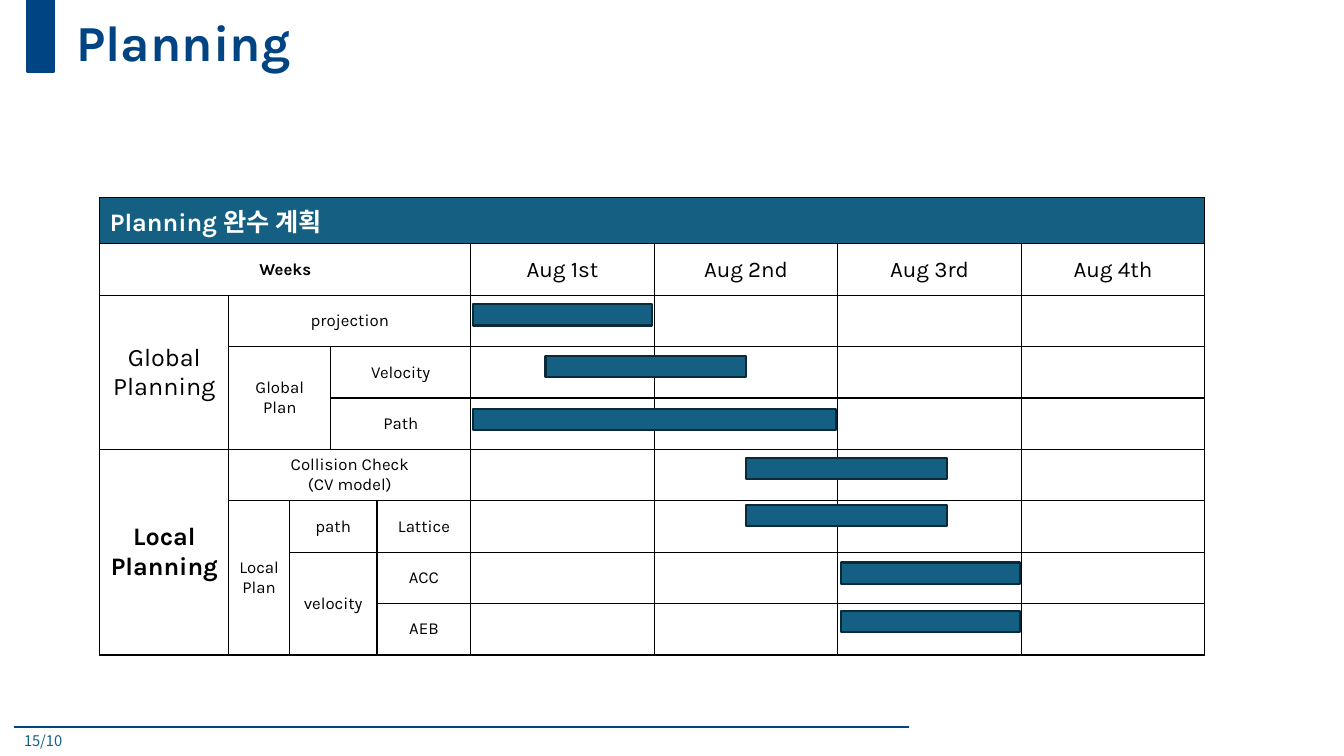
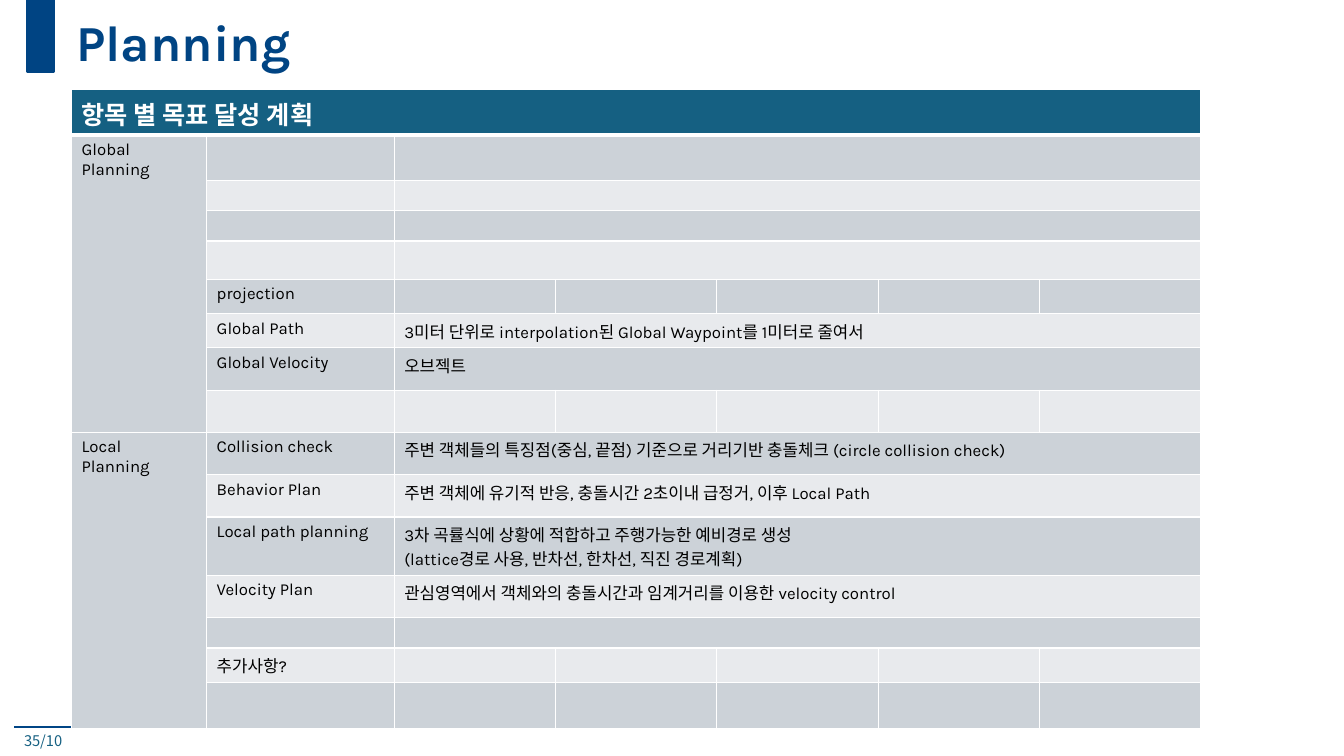
import dataclasses
import typing

import lxml.etree
import pptx
import pptx.dml.color
import pptx.enum.shapes
import pptx.enum.text
import pptx.oxml.ns
import pptx.util

EMU_PER_PX = 9144  # 100 px to the inch
WIDTH, HEIGHT = 1333, 750

NAVY = "004483"
RULE = "004585"
TEAL = "156082"
BAR_EDGE = "092A39"
BLACK = "000000"
WHITE = "FFFFFF"
BAND_DARK = "CCD2D8"
BAND_LIGHT = "E8EAED"

LATIN = "Karla"
KOREAN = "Noto Sans CJK KR"

LEFT = pptx.enum.text.PP_ALIGN.LEFT
CENTER = pptx.enum.text.PP_ALIGN.CENTER
TOP = pptx.enum.text.MSO_ANCHOR.TOP
MIDDLE = pptx.enum.text.MSO_ANCHOR.MIDDLE
qn = pptx.oxml.ns.qn


@dataclasses.dataclass(frozen=True)
class Cell:
    row: int
    col: int
    text: str = ""
    rows: int = 1
    cols: int = 1
    size: int = 12
    bold: bool = False
    color: str = BLACK


@dataclasses.dataclass(frozen=True)
class Bar:
    left: int
    top: int
    width: int


@dataclasses.dataclass(frozen=True)
class Grid:
    left: int
    top: int
    cols: list[int]
    rows: list[int]
    border: str
    header_line: int
    align: typing.Any
    anchor: typing.Any
    fill: typing.Callable[[int, int], str]


def px(n: int) -> pptx.util.Emu:
    return pptx.util.Emu(n * EMU_PER_PX)


def rgb(color: str) -> pptx.dml.color.RGBColor:
    return pptx.dml.color.RGBColor.from_string(color)


def write_text(tf, text: str, *, size: float = 12, color: str = BLACK,
               bold: bool = False, font: str = LATIN, align=LEFT,
               spacing: float | None = None) -> None:
    """Write one paragraph per line of text."""
    for i, line in enumerate(text.split("\n")):
        p = tf.add_paragraph() if i else tf.paragraphs[0]
        p.alignment = align
        p.line_spacing = spacing
        r = p.add_run()
        r.text = line
        r.font.size = pptx.util.Pt(size)
        r.font.bold = bold
        r.font.name = font
        r.font.color.rgb = rgb(color)
        ea = lxml.etree.SubElement(r.font._element, qn("a:ea"))
        ea.set("typeface", KOREAN)


def add_text(slide, left: int, top: int, width: int, height: int, text: str,
             anchor=TOP, **fmt) -> None:
    tf = slide.shapes.add_textbox(px(left), px(top), px(width), px(height)).text_frame
    tf.word_wrap = True
    tf.vertical_anchor = anchor
    write_text(tf, text, **fmt)


def add_rect(slide, left: int, top: int, width: int, height: int,
             fill: str, line: str) -> None:
    sp = slide.shapes.add_shape(pptx.enum.shapes.MSO_SHAPE.RECTANGLE,
                                px(left), px(top), px(width), px(height))
    sp.shadow.inherit = False
    sp.fill.solid()
    sp.fill.fore_color.rgb = rgb(fill)
    sp.line.color.rgb = rgb(line)
    sp.line.width = pptx.util.Pt(1.5)


def add_rule(slide, left: int, right: int, y: int) -> None:
    ln = slide.shapes.add_connector(pptx.enum.shapes.MSO_CONNECTOR.STRAIGHT,
                                    px(left), px(y), px(right), px(y))
    ln.line.color.rgb = rgb(RULE)
    ln.line.width = pptx.util.Pt(1.5)
    lxml.etree.SubElement(ln._element.spPr, qn("a:effectLst"))


def set_borders(cell, color: str, top: int, bottom: int) -> None:
    """Draw all four borders; must run before the cell gets its fill."""
    tc_pr = cell._tc.get_or_add_tcPr()
    for side, width in (("L", 1), ("R", 1), ("T", top), ("B", bottom)):
        ln = lxml.etree.SubElement(tc_pr, qn(f"a:ln{side}"))
        ln.set("w", str(pptx.util.Pt(width)))
        fill = lxml.etree.SubElement(ln, qn("a:solidFill"))
        lxml.etree.SubElement(fill, qn("a:srgbClr")).set("val", color)


def set_empty_size(cell, size: int) -> None:
    """Give an empty cell a text size, so that its row stays low."""
    p = cell.text_frame.paragraphs[0]
    end = lxml.etree.SubElement(p._p, qn("a:endParaRPr"))
    end.set("sz", str(size * 100))
    lxml.etree.SubElement(end, qn("a:latin")).set("typeface", LATIN)


def add_grid(slide, grid: Grid, cells: list[Cell]) -> None:
    table = slide.shapes.add_table(
        len(grid.rows), len(grid.cols), px(grid.left), px(grid.top),
        px(sum(grid.cols)), px(sum(grid.rows))).table
    table.first_row = False
    table.horz_banding = False
    for column, width in zip(table.columns, grid.cols):
        column.width = px(width)
    for row, height in zip(table.rows, grid.rows):
        row.height = px(height)

    written = {(c.row, c.col) for c in cells if c.text}
    for i in range(len(grid.rows)):
        for j in range(len(grid.cols)):
            cell = table.cell(i, j)
            set_borders(cell, grid.border,
                        top=grid.header_line if i == 1 else 1,
                        bottom=grid.header_line if i == 0 else 1)
            cell.fill.solid()
            cell.fill.fore_color.rgb = rgb(TEAL if i == 0 else grid.fill(i, j))
            cell.vertical_anchor = grid.anchor
            if (i, j) not in written:
                set_empty_size(cell, 12)

    for c in cells:
        cell = table.cell(c.row, c.col)
        if c.rows > 1 or c.cols > 1:
            cell.merge(table.cell(c.row + c.rows - 1, c.col + c.cols - 1))
        if c.text:
            write_text(cell.text_frame, c.text, size=c.size, color=c.color,
                       bold=c.bold, align=grid.align if c.row else LEFT)


def header(text: str, cols: int) -> Cell:
    return Cell(0, 0, text, cols=cols, size=18, bold=True, color=WHITE)


def add_base(prs, title: str, page: str):
    """Add a slide with the footer, title mark and title."""
    slide = prs.slides.add_slide(prs.slide_layouts[6])
    add_rule(slide, 14, 902, 721)
    add_text(slide, 14, 721, 571, 29, page, size=10.5, color=TEAL, font=KOREAN)
    add_rect(slide, 27, 0, 27, 71, NAVY, NAVY)
    add_text(slide, 66, 0, 1196, 89, title, anchor=MIDDLE, size=36,
             color=NAVY, bold=True, spacing=0.9)
    return slide


def build_schedule(prs) -> None:
    slide = add_base(prs, "Planning", "15/10")
    grid = Grid(99, 196, [128, 60, 41, 46, 93] + [182] * 4, [46] + [51] * 8,
                BLACK, 1, CENTER, MIDDLE, lambda i, j: WHITE)
    weeks = ["Aug 1st", "Aug 2nd", "Aug 3rd", "Aug 4th"]
    add_grid(slide, grid, [
        header("Planning 완수 계획", 9),
        Cell(1, 0, "Weeks", cols=5, bold=True),
        *(Cell(1, 5 + k, week, size=16) for k, week in enumerate(weeks)),
        Cell(2, 0, "Global\nPlanning", rows=3, size=18),
        Cell(2, 1, "projection", cols=4),
        Cell(3, 1, "Global\nPlan", rows=2, cols=2),
        Cell(3, 3, "Velocity", cols=2),
        Cell(4, 3, "Path", cols=2),
        Cell(5, 0, "Local\nPlanning", rows=4, size=18, bold=True),
        Cell(5, 1, "Collision Check\n(CV model)", cols=4),
        Cell(6, 1, "Local\nPlan", rows=3),
        Cell(6, 2, "path", cols=2),
        Cell(6, 4, "Lattice"),
        Cell(7, 2, "velocity", rows=2, cols=2),
        Cell(7, 4, "ACC"),
        Cell(8, 4, "AEB"),
    ])
    bars = [
        Bar(469, 302, 178), Bar(541, 353, 199), Bar(469, 406, 360),
        Bar(740, 454, 199), Bar(740, 501, 199),
        Bar(834, 558, 178), Bar(834, 606, 178),
    ]
    for bar in bars:
        add_rect(slide, bar.left, bar.top, bar.width, 21, TEAL, BAR_EDGE)


def build_goals(prs) -> None:
    slide = add_base(prs, "Planning", "35/10")
    grid = Grid(71, 89, [134, 186] + [160] * 5,
                [45, 45, 30, 30, 38, 34, 34, 42, 42, 42, 42, 58, 42, 30, 34, 46],
                WHITE, 3, LEFT, TOP,
                lambda i, j: BAND_DARK if j == 0 or i % 2 else BAND_LIGHT)
    items = {
        5: "projection", 6: "Global Path", 7: "Global Velocity",
        9: "Collision check", 10: "Behavior Plan", 11: "Local path planning",
        12: "Velocity Plan", 14: "추가사항?",
    }
    details = {
        6: "3미터 단위로 interpolation된 Global Waypoint를 1미터로 줄여서",
        7: "오브젝트",
        9: "주변 객체들의 특징점(중심, 끝점) 기준으로 거리기반 충돌체크 (circle collision check)",
        10: "주변 객체에 유기적 반응, 충돌시간 2초이내 급정거, 이후 Local Path",
        11: "3차 곡률식에 상황에 적합하고 주행가능한 예비경로 생성\n"
            "(lattice경로 사용, 반차선, 한차선, 직진 경로계획)",
        12: "관심영역에서 객체와의 충돌시간과 임계거리를 이용한 velocity control",
    }
    split_rows = {5, 8, 14, 15}
    add_grid(slide, grid, [
        header("항목 별 목표 달성 계획", 7),
        Cell(1, 0, "Global\nPlanning", rows=8),
        Cell(9, 0, "Local\nPlanning", rows=7),
        *(Cell(i, 1, text) for i, text in items.items()),
        *(Cell(i, 2, details.get(i, ""), cols=5)
          for i in range(1, len(grid.rows)) if i not in split_rows),
    ])


def main() -> None:
    prs = pptx.Presentation()
    prs.slide_width, prs.slide_height = px(WIDTH), px(HEIGHT)
    build_schedule(prs)
    build_goals(prs)
    prs.save("out.pptx")


if __name__ == "__main__":
    main()
